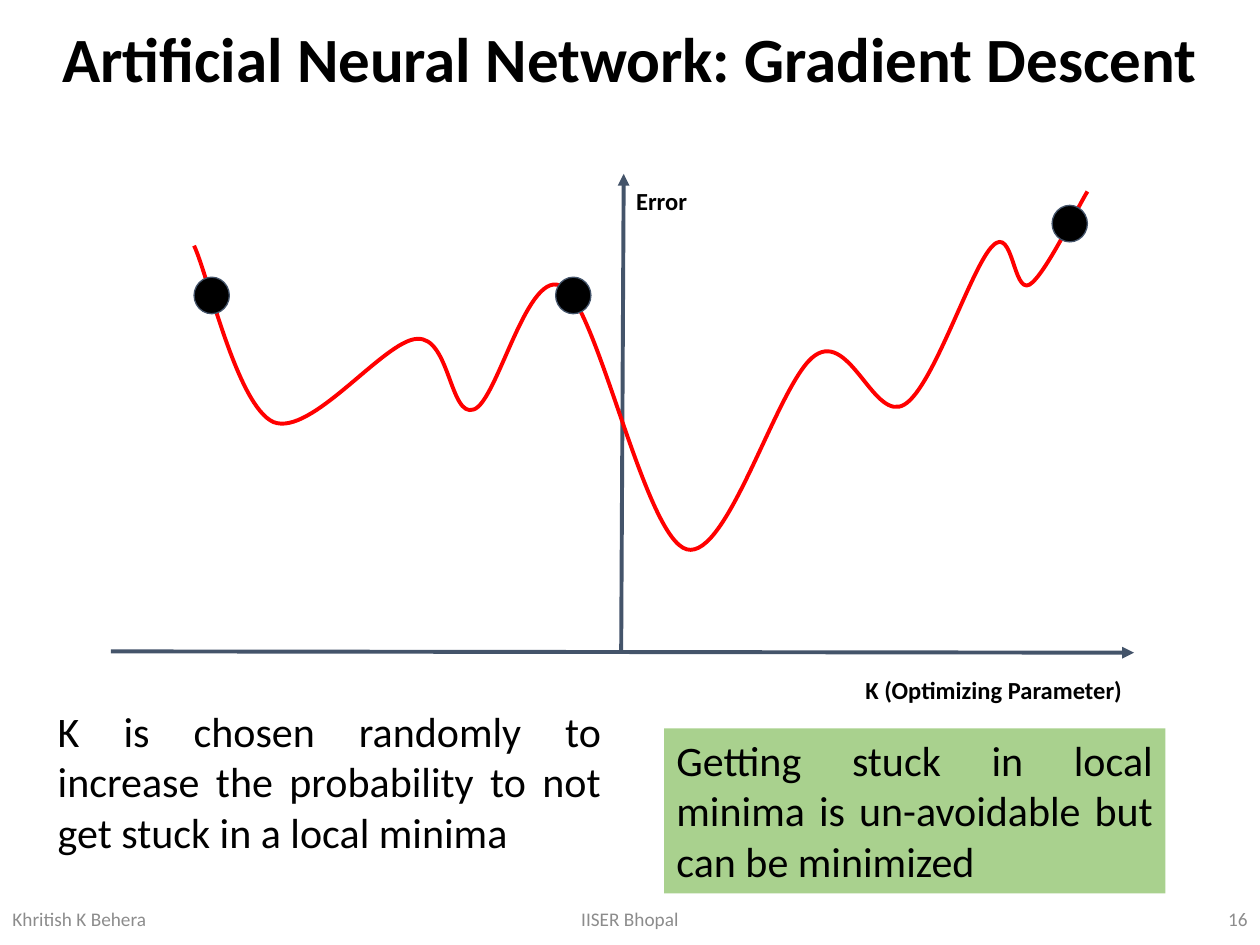
import pptx
import pptx.util
import pptx.dml.color
import pptx.enum.shapes
import pptx.enum.text
import pptx.oxml
from pptx.oxml.ns import qn
from lxml import etree

Inches = pptx.util.Inches
Pt = pptx.util.Pt
ALIGN = pptx.enum.text.PP_ALIGN
ANCHOR = pptx.enum.text.MSO_ANCHOR
SHAPES = pptx.enum.shapes.MSO_SHAPE

BLACK, GREY, SLATE, RED, GREEN = "000000", "8C8C8C", "44546A", "FF0000", "A9D18E"

TITLE = "Artificial Neural Network: Gradient Descent"
FOOTERS = [  # text, left, width, alignment
    ("Khritish K Behera", 0, 2.25, ALIGN.LEFT),
    ("IISER Bhopal", 3.31, 3.38, ALIGN.CENTER),
    ("16", 7.75, 2.25, ALIGN.RIGHT),
]
AXES = [((0.88, 5.17), (9, 5.18)), ((4.93, 5.17), (4.95, 1.38))]
AXIS_LABELS = [
    ("Error", (4.95, 1.38, 0.65, 0.44)),
    ("K (Optimizing Parameter)", (6.77, 5.26, 2.25, 0.44)),
]
NOTES = [  # text, place, fill
    ("K is chosen randomly to increase the probability to not get stuck in a local minima",
     (0.36, 5.55, 4.51, 1.31), None),
    ("Getting stuck in local minima is un-avoidable but can be minimized",
     (5.27, 5.78, 3.98, 1.31), GREEN),
]
CURVE_START = (1.54, 1.95)
CURVE = [  # first control point, second control point, end point
    ((1.65, 2.18), (1.88, 3.22), (2.17, 3.35)),
    ((2.47, 3.47), (3.05, 2.70), (3.31, 2.69)),
    ((3.57, 2.67), (3.57, 3.32), (3.76, 3.25)),
    ((3.95, 3.19), (4.19, 2.09), (4.47, 2.28)),
    ((4.75, 2.46), (5.12, 4.27), (5.45, 4.36)),
    ((5.78, 4.45), (6.18, 3.01), (6.47, 2.82)),
    ((6.75, 2.63), (6.94, 3.36), (7.18, 3.21)),
    ((7.41, 3.07), (7.71, 2.11), (7.88, 1.95)),
    ((8.04, 1.79), (8.04, 2.33), (8.17, 2.26)),
    ((8.29, 2.19), (8.55, 1.65), (8.63, 1.52)),
]
BALLS = [(1.54, 2.2), (4.41, 2.2), (8.35, 1.63)]
BALL_SIZE = (0.28, 0.29)


def color(hex_string):
    return pptx.dml.color.RGBColor.from_string(hex_string)


def inches(values):
    return [Inches(value) for value in values]


def set_line(shape, hex_string, width):
    shape.line.color.rgb = color(hex_string)
    shape.line.width = Pt(width)


def add_text(page, text, place, size, ink=BLACK, bold=False, align=ALIGN.LEFT,
             anchor=ANCHOR.TOP, fill=None, inset=0.05, spacing=None, wrap=True):
    box = page.shapes.add_textbox(*inches(place))
    if fill:
        box.fill.solid()
        box.fill.fore_color.rgb = color(fill)
    frame = box.text_frame
    frame.word_wrap = wrap
    frame.vertical_anchor = anchor
    frame.margin_top = frame.margin_bottom = Inches(inset)
    para = frame.paragraphs[0]
    para.alignment = align
    if spacing:
        para.line_spacing = spacing
    span = para.add_run()
    span.text = text
    span.font.name = "Calibri"
    span.font.size = Pt(size)
    span.font.bold = bold
    span.font.color.rgb = color(ink)


def add_arrow(page, start, end):
    arrow = page.shapes.add_connector(
        pptx.enum.shapes.MSO_CONNECTOR.STRAIGHT, *inches(start + end))
    set_line(arrow, SLATE, 2.25)
    etree.SubElement(arrow.line._get_or_add_ln(), qn("a:tailEnd"), type="triangle")
    etree.SubElement(arrow._element.spPr, qn("a:effectLst"))


def add_curve(page, start, segments):
    """Join the end points with lines, then bend each line into a Bezier."""
    builder = page.shapes.build_freeform(*inches(start))
    builder.add_line_segments([inches(segment[-1]) for segment in segments], close=False)
    curve = builder.convert_to_shape()
    for line, controls in zip(list(curve._element.iter(qn("a:lnTo"))), segments):
        bend = etree.Element(qn("a:cubicBezTo"))
        for x, y in controls:
            etree.SubElement(bend, qn("a:pt"), x=str(Inches(x) - curve.left),
                             y=str(Inches(y) - curve.top))
        line.getparent().replace(line, bend)
    curve.shadow.inherit = False
    curve.fill.background()
    set_line(curve, RED, 2.25)


def add_ball(page, place):
    ball = page.shapes.add_shape(SHAPES.OVAL, *inches(place + BALL_SIZE))
    ball.shadow.inherit = False
    ball.fill.solid()
    ball.fill.fore_color.rgb = color(BLACK)
    set_line(ball, SLATE, 0.75)


def main():
    deck = pptx.Presentation()
    deck.slide_width, deck.slide_height = inches((10, 7.5))
    page = deck.slides.add_slide(deck.slide_layouts[6])

    add_text(page, TITLE, (0, 0.01, 10, 0.96), 36, bold=True, align=ALIGN.CENTER,
             anchor=ANCHOR.MIDDLE, spacing=0.9)
    for text, left, width, align in FOOTERS:
        add_text(page, text, (left, 7.09, width, 0.4), 11, ink=GREY, align=align,
                 anchor=ANCHOR.MIDDLE)
    for start, end in AXES:
        add_arrow(page, start, end)
    for text, place in AXIS_LABELS:
        add_text(page, text, place, 14, bold=True, inset=0.1, wrap=False)
    add_curve(page, CURVE_START, CURVE)
    for place in BALLS:
        add_ball(page, place)
    for text, place, fill in NOTES:
        add_text(page, text, place, 24, align=ALIGN.JUSTIFY, fill=fill)

    deck.save("out.pptx")


if __name__ == "__main__":
    main()
